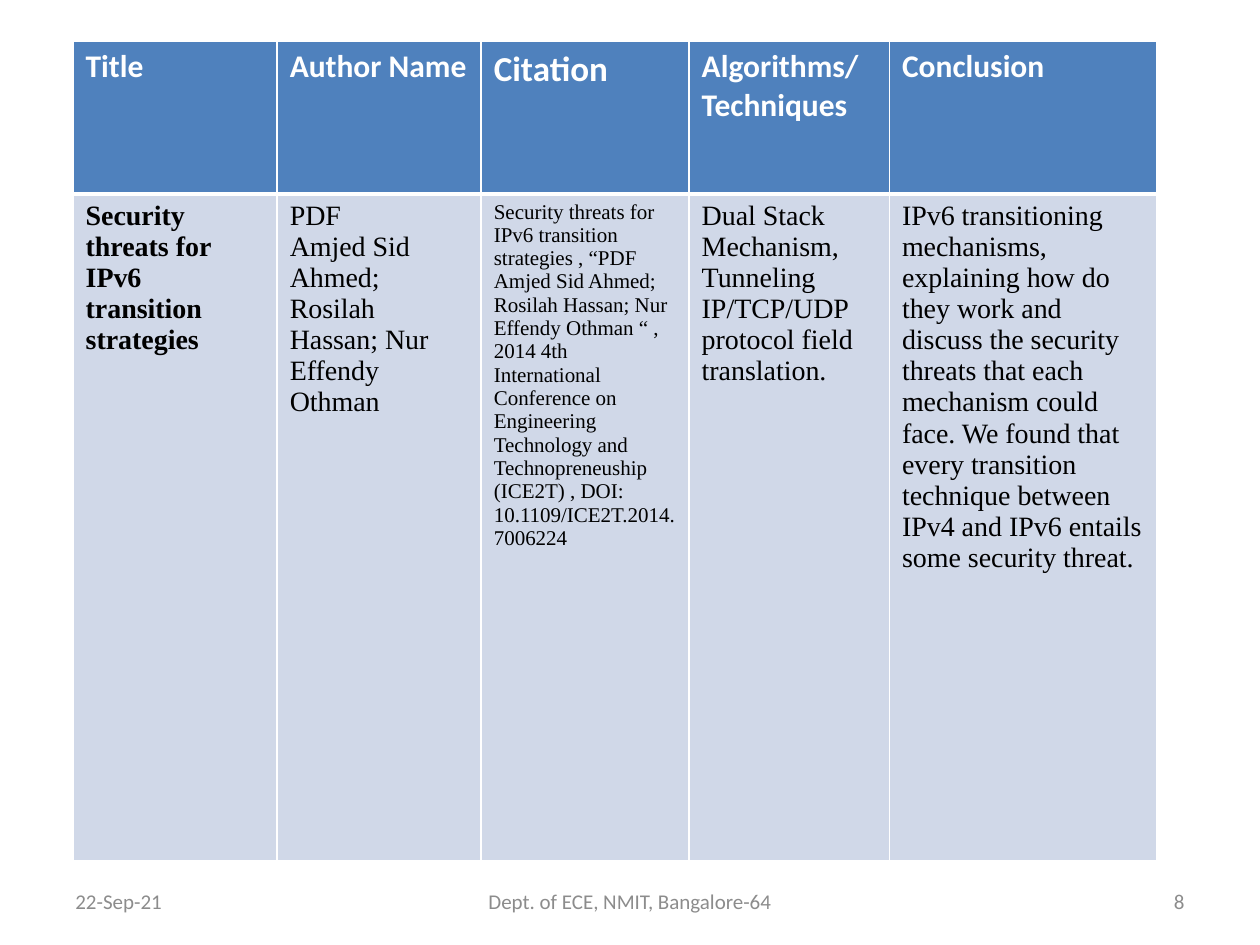
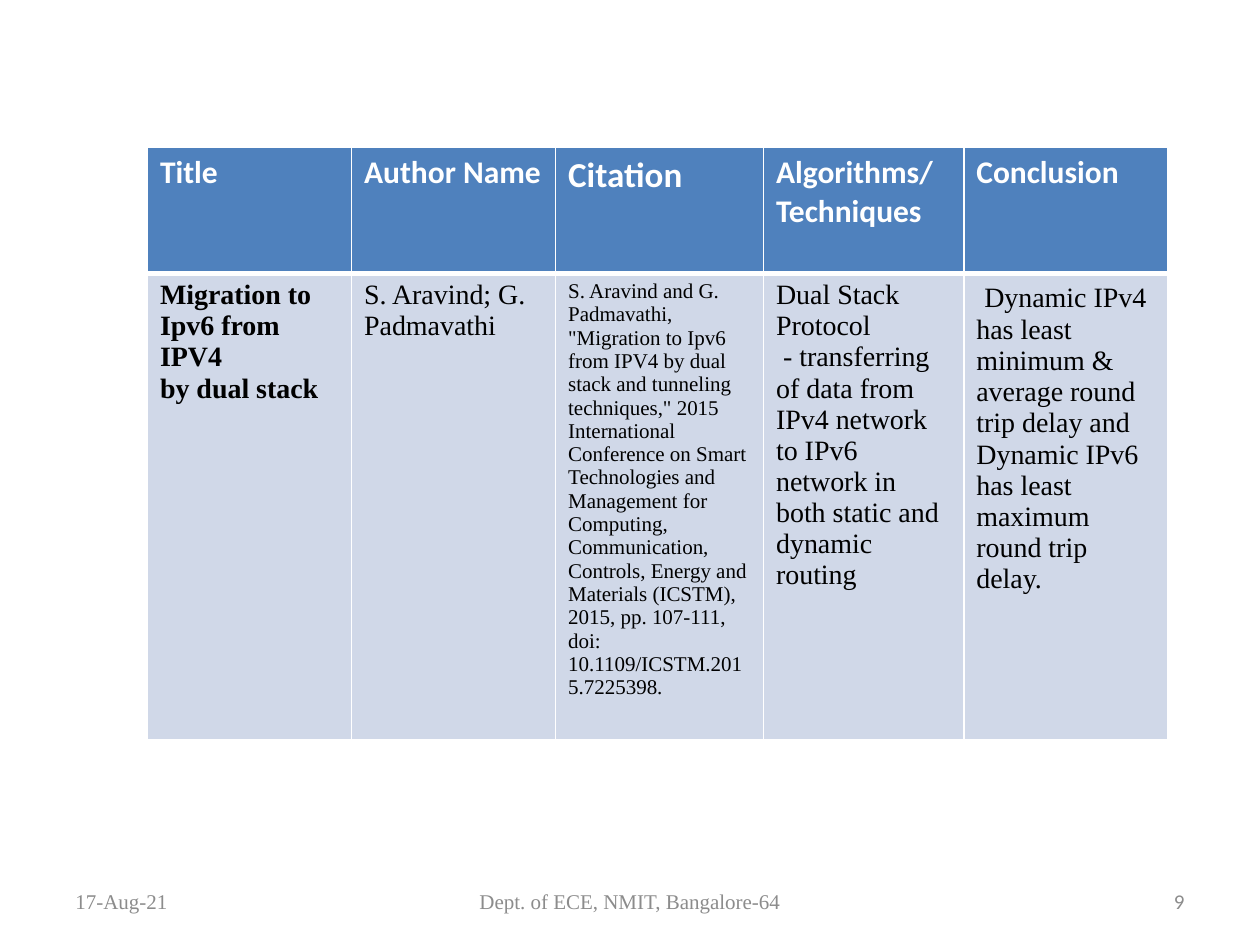
"""Literature survey: two slides, each with one paper in a table."""
from lxml import etree
from pptx import Presentation
from pptx import util as u
from pptx.dml.color import RGBColor
from pptx.enum import text
from pptx.oxml import ns

COLORS = {"header": "4F81BD", "body": "D0D8E8", "line": "FFFFFF",
          "header_text": "FFFFFF", "body_text": "000000", "footer": "8C8C8C"}
SANS, SERIF = "Calibri", "Times New Roman"
WIDTH, HEIGHT = 10, 7.5

HEADINGS = ["Title", "Author Name", "Citation", "Algorithms/Techniques ", "Conclusion"]
HEADING_SIZES = [18, 18, 20, 18, 18]
BODY_SIZES = [16, 16, 12, 16, 16]
FIRST_COLUMNS = [1.62, 1.62, 1.65, 1.59]
FOOTER_TOP, FOOTER_HEIGHT = 6.95, 0.4

# A cell is a list of paragraphs; a paragraph is a list of (text, size) runs,
# where size None means the usual size of the column.
PAPERS = [
    {"date": "22-Sep-21", "number": "8", "footer_font": SANS,
     "place": (0.58, 0.33), "last_column": 2.12, "rows": (1.21, 5.29),
     "cells": [
         [[("Security threats for IPv6 transition strategies", None)]],
         [[("PDF", None)],
          [("Amjed Sid Ahmed; Rosilah Hassan; Nur Effendy Othman", None)]],
         [[("Security threats for IPv6 transition strategies , “PDF", None)],
          [("Amjed Sid Ahmed; Rosilah Hassan; Nur Effendy Othman “ ,", None)],
          [("2014 4th International Conference on Engineering Technology and "
            "Technopreneuship (ICE2T) , DOI: 10.1109/ICE2T.2014.7006224 ", None)]],
         [[("Dual Stack Mechanism,", None)],
          [("Tunneling IP/TCP/UDP protocol field translation.", None)]],
         [[("IPv6 transitioning mechanisms, explaining how do they work and discuss "
            "the security threats that each mechanism could face. We found that every "
            "transition technique between IPv4 and IPv6 entails some security threat.",
            None)]],
     ]},
    {"date": "17-Aug-21", "number": "9", "footer_font": SERIF,
     "place": (1.17, 1.17), "last_column": 1.62, "rows": (1.0, 3.43),
     "cells": [
         [[("Migration to Ipv6 from IPV4 by\u00a0dual\u00a0stack", None)]],
         [[("S. Aravind;\u00a0G. Padmavathi", None)]],
         [[("S. Aravind and G. Padmavathi, \"Migration to Ipv6 from IPV4 by dual stack "
            "and tunneling techniques,\" 2015 International Conference on Smart "
            "Technologies and Management for Computing, Communication, Controls, Energy "
            "and Materials (ICSTM), 2015, pp. 107-111, doi: "
            "10.1109/ICSTM.2015.7225398.", None)]],
         [[("Dual Stack Protocol\n\u00a0- transferring of data from IPv4 network to IPv6 "
            "network in both static and dynamic routing", None)]],
         [[("\u00a0", 18),
           ("Dynamic IPv4 has least minimum & average round trip delay and Dynamic "
            "IPv6 has least maximum round trip delay.\u00a0", None)]],
     ]},
]


def add_run(paragraph, words, size, font, color, bold=False):
    """Add text to a paragraph; a newline becomes a line break."""
    for index, line in enumerate(words.split("\n")):
        if index:
            paragraph.add_line_break()
        run = paragraph.add_run()
        run.text = line
        run.font.size = u.Pt(size)
        run.font.name = font
        run.font.bold = bold
        run.font.color.rgb = RGBColor.from_string(COLORS[color])


def set_borders(cell, widths):
    """Draw the cell's borders; widths are in points by side L, R, T, B."""
    properties = cell._tc.get_or_add_tcPr()
    for index, (side, width) in enumerate(widths.items()):
        line = etree.Element(ns.qn("a:ln" + side), w=str(u.Pt(width)))
        fill = etree.SubElement(line, ns.qn("a:solidFill"))
        etree.SubElement(fill, ns.qn("a:srgbClr"), val=COLORS["line"])
        properties.insert(index, line)


def fill_cell(cell, paragraphs, size, font, kind, bold, borders):
    """Write and colour one cell of the header or body kind."""
    cell.fill.solid()
    cell.fill.fore_color.rgb = RGBColor.from_string(COLORS[kind])
    set_borders(cell, borders)
    for index, runs in enumerate(paragraphs):
        frame = cell.text_frame
        paragraph = frame.add_paragraph() if index else frame.paragraphs[0]
        for words, own_size in runs:
            add_run(paragraph, words, own_size or size, font, kind + "_text", bold)


def add_paper_table(slide, paper):
    """Place the header row and the paper's row at the paper's place."""
    left, top = paper["place"]
    columns = FIRST_COLUMNS + [paper["last_column"]]
    rows = paper["rows"]
    table = slide.shapes.add_table(
        len(rows), len(columns), u.Inches(left), u.Inches(top),
        u.Inches(sum(columns)), u.Inches(sum(rows))).table
    for row, height in zip(table.rows, rows):
        row.height = u.Inches(height)
    for index, width in enumerate(columns):
        table.columns[index].width = u.Inches(width)
        fill_cell(table.cell(0, index), [[(HEADINGS[index], None)]],
                  HEADING_SIZES[index], SANS, "header", True,
                  {"L": 1, "R": 1, "T": 1, "B": 3})
        fill_cell(table.cell(1, index), paper["cells"][index],
                  BODY_SIZES[index], SERIF, "body", index == 0,
                  {"L": 1, "R": 1, "T": 3, "B": 1})


def add_footer(slide, paper):
    """Place date, department and page number along the bottom."""
    margin, side, middle = 0.5, 2.33, 3.17
    align = text.PP_ALIGN
    parts = [
        (margin, side, paper["date"], paper["footer_font"], align.LEFT),
        ((WIDTH - middle) / 2, middle, "Dept. of ECE, NMIT, Bangalore-64",
         paper["footer_font"], align.CENTER),
        (WIDTH - margin - side, side, paper["number"], SANS, align.RIGHT),
    ]
    for left, width, words, font, alignment in parts:
        box = slide.shapes.add_textbox(u.Inches(left), u.Inches(FOOTER_TOP),
                                       u.Inches(width), u.Inches(FOOTER_HEIGHT))
        frame = box.text_frame
        frame.word_wrap = True
        frame.vertical_anchor = text.MSO_ANCHOR.MIDDLE
        frame.paragraphs[0].alignment = alignment
        add_run(frame.paragraphs[0], words, 12, font, "footer")


def build():
    """Build one slide for each paper and save."""
    presentation = Presentation()
    presentation.slide_width = u.Inches(WIDTH)
    presentation.slide_height = u.Inches(HEIGHT)
    blank = presentation.slide_layouts[6]
    for paper in PAPERS:
        slide = presentation.slides.add_slide(blank)
        add_footer(slide, paper)
        add_paper_table(slide, paper)
    presentation.save("out.pptx")


build()
